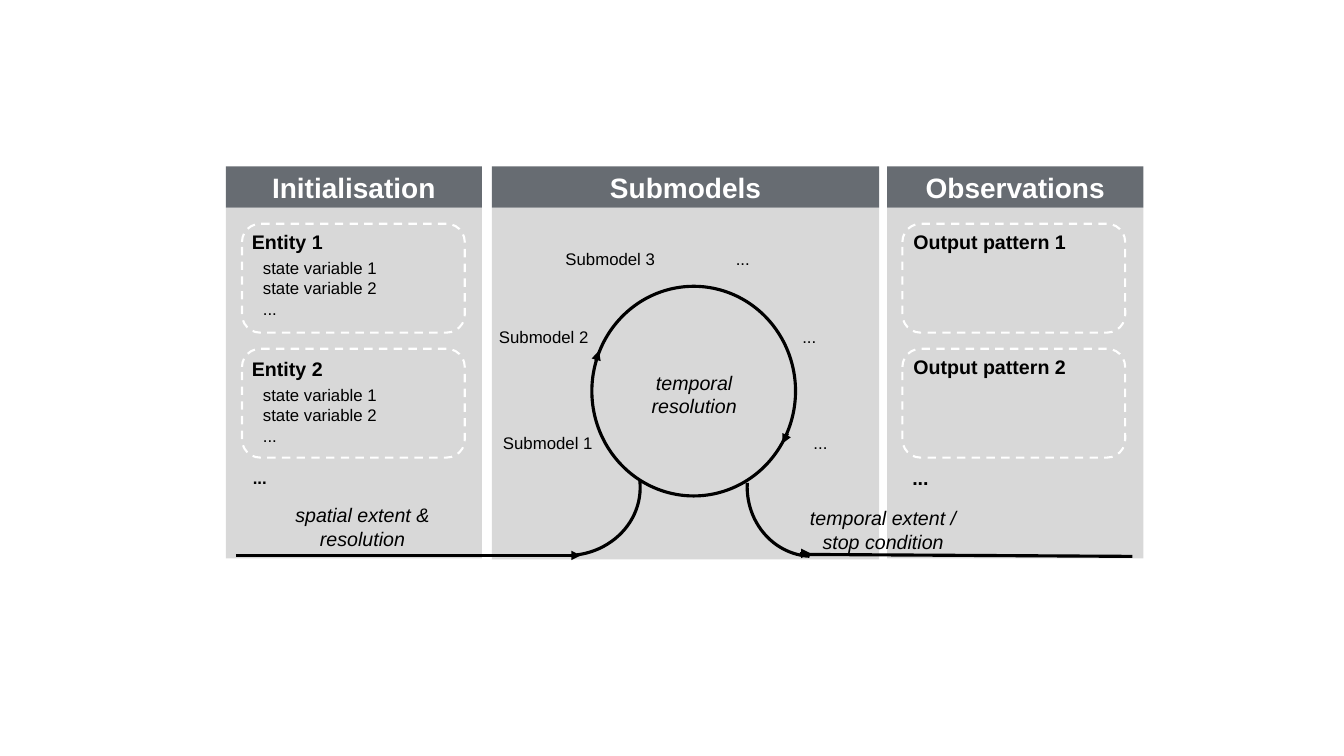
from lxml import etree
from pptx import Presentation
from pptx import util as u
from pptx.dml.color import RGBColor
from pptx.enum import dml, shapes, text
from pptx.oxml import ns

PX = 9144
BLACK = RGBColor(0x00, 0x00, 0x00)
WHITE = RGBColor(0xFF, 0xFF, 0xFF)
PANEL_GREY = RGBColor(0xD8, 0xD8, 0xD8)
HEADER_GREY = RGBColor(0x67, 0x6C, 0x72)
CENTER = text.PP_ALIGN.CENTER
LEFT = text.PP_ALIGN.LEFT
KIND = shapes.MSO_SHAPE
HEADER_TOP, HEADER_HEIGHT = 165, 41
CARD_TOPS = (222, 346)


def px(*lengths):
    """Turn pixel lengths into EMU."""
    return [length * PX for length in lengths]


def write(frame, lines, size, color=BLACK, align=LEFT, bold=False, italic=False):
    """Write one paragraph per line into a text frame."""
    for index, line in enumerate(lines):
        paragraph = frame.add_paragraph() if index else frame.paragraphs[0]
        paragraph.alignment = align
        run = paragraph.add_run()
        run.text = line
        run.font.name = "Arial"
        run.font.size = u.Pt(size)
        run.font.color.rgb = color
        run.font.bold = bold
        run.font.italic = italic


def add_label(slide, box, lines, size, wrap=False, **style):
    """Add a free-standing text label."""
    frame = slide.shapes.add_textbox(*px(*box)).text_frame
    frame.word_wrap = wrap
    frame.auto_size = text.MSO_AUTO_SIZE.SHAPE_TO_FIT_TEXT
    write(frame, lines, size, **style)


def add_block(slide, box, fill):
    """Add a filled rectangle without an outline."""
    block = slide.shapes.add_shape(KIND.RECTANGLE, *px(*box))
    block.shadow.inherit = False
    block.fill.solid()
    block.fill.fore_color.rgb = fill
    block.line.fill.background()
    return block


def add_column(slide, left, width, height, title):
    """Add a grey column with its titled header."""
    add_block(slide, (left, HEADER_TOP + HEADER_HEIGHT, width, height), PANEL_GREY)
    header = add_block(slide, (left, HEADER_TOP, width, HEADER_HEIGHT), HEADER_GREY)
    header.text_frame.vertical_anchor = text.MSO_ANCHOR.MIDDLE
    write(header.text_frame, [title], 20, WHITE, CENTER, bold=True)


def add_outline(slide, kind, box, color=BLACK, weight=2.25, rotation=0):
    """Add an unfilled outlined shape."""
    outline = slide.shapes.add_shape(kind, *px(*box))
    outline.shadow.inherit = False
    outline.fill.background()
    outline.line.color.rgb = color
    outline.line.width = u.Pt(weight)
    outline.rotation = rotation
    return outline


def add_card(slide, left, top):
    """Add a dashed rounded card."""
    card = add_outline(slide, KIND.ROUNDED_RECTANGLE, (left, top, 221, 108), WHITE, 1.5)
    card.line.dash_style = dml.MSO_LINE.DASH


def add_flow(slide, ends, arrow=True):
    """Add a straight flow line, with an arrowhead if wanted."""
    flow = slide.shapes.add_connector(shapes.MSO_CONNECTOR.STRAIGHT, *px(*ends))
    flow.line.color.rgb = BLACK
    flow.line.width = u.Pt(2.25)
    if arrow:
        etree.SubElement(flow.line._get_or_add_ln(), ns.qn("a:tailEnd"), type="triangle")
    etree.SubElement(flow._element.spPr, ns.qn("a:effectLst"))


def add_cycle(slide):
    """Add the time loop with its way in and way out."""
    add_outline(slide, KIND.OVAL, (587, 284, 202, 208))
    add_outline(slide, KIND.ARC, (498, 414, 132, 142), rotation=83)
    add_outline(slide, KIND.ARC, (741, 413, 131, 139), rotation=183)
    add_flow(slide, (796, 550, 1123, 552), arrow=False)
    for ends in ((234, 551, 576, 551), (591, 358, 594, 348),
                 (781, 430, 776, 440), (793, 549, 804, 549)):
        add_flow(slide, ends)


def main():
    """Build the model overview slide."""
    deck = Presentation()
    deck.slide_width, deck.slide_height = px(1333, 750)
    slide = deck.slides.add_slide(deck.slide_layouts[6])

    for column in ((488, 384, 349, "Submodels"), (224, 254, 348, "Initialisation"),
                   (880, 254, 348, "Observations")):
        add_column(slide, *column)

    for number, top in enumerate(CARD_TOPS, 1):
        entity_top = 223 + 126 * (number - 1)
        add_card(slide, 240, top)
        add_card(slide, 895, top)
        add_label(slide, (240, entity_top, 91, 33), [f"Entity {number}"], 14, bold=True)
        add_label(slide, (251, entity_top + 28, 134, 70),
                  ["state variable 1", "state variable 2", "..."], 12)
        add_label(slide, (896, top + 1, 172, 33), [f"Output pattern {number}"], 14, bold=True)
    add_label(slide, (241, 459, 34, 30), ["..."], 12, bold=True)
    add_label(slide, (895, 457, 36, 33), ["..."], 14, bold=True)

    for left, top, width, name in (
            (489, 424, 109, "Submodel 1"), (485, 319, 109, "Submodel 2"),
            (551, 242, 109, "Submodel 3"), (720, 242, 34, "..."),
            (786, 319, 34, "..."), (797, 424, 34, "...")):
        add_label(slide, (left, top, width, 30), [name], 12)

    for box, lines, wrap in (
            ((793, 497, 166, 57), ["temporal extent /", "stop condition"], False),
            ((636, 363, 105, 57), ["temporal", "resolution"], False),
            ((239, 494, 241, 57), ["spatial extent & resolution"], True)):
        add_label(slide, box, lines, 14, wrap, align=CENTER, italic=True)

    add_cycle(slide)
    deck.save("out.pptx")


if __name__ == "__main__":
    main()
